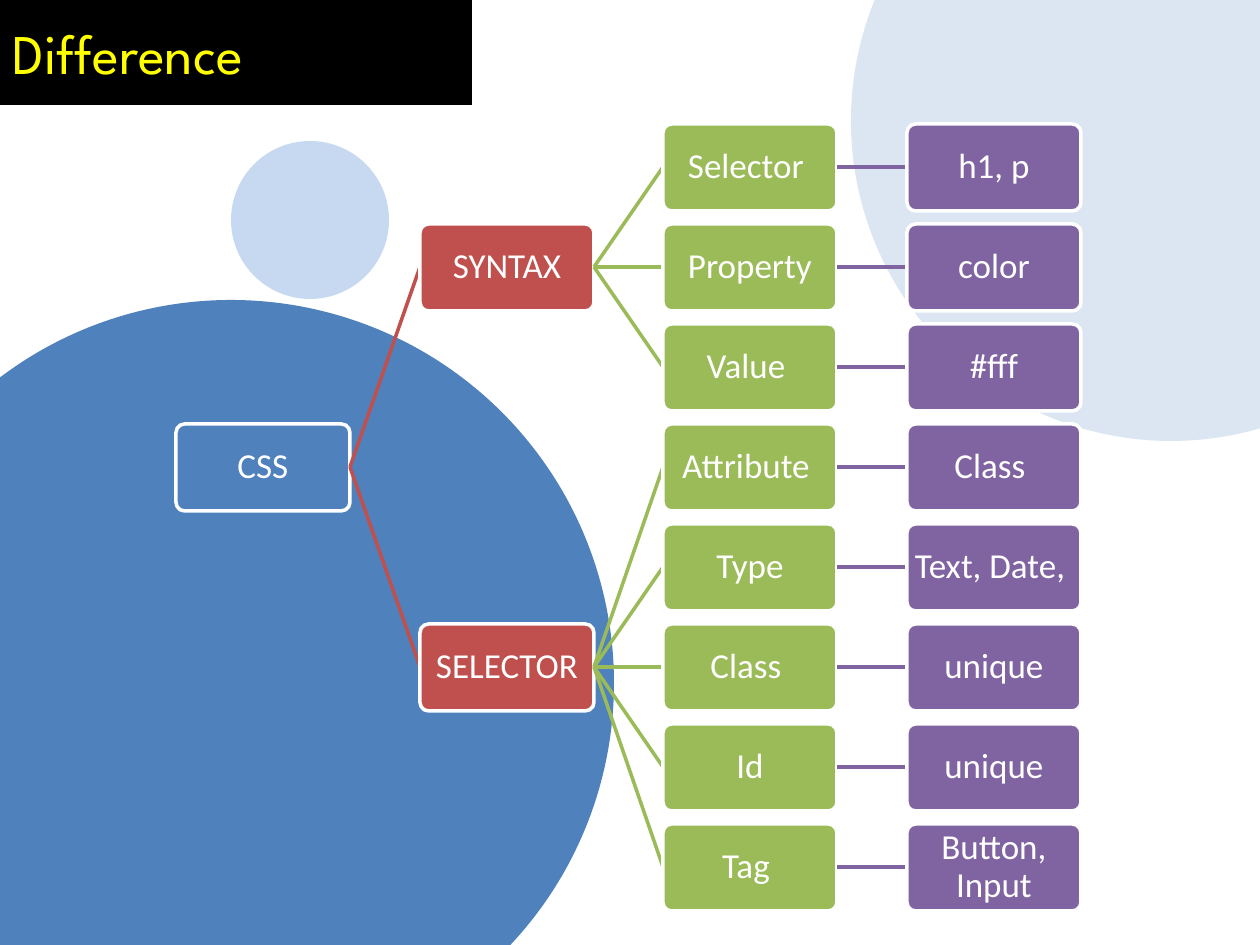
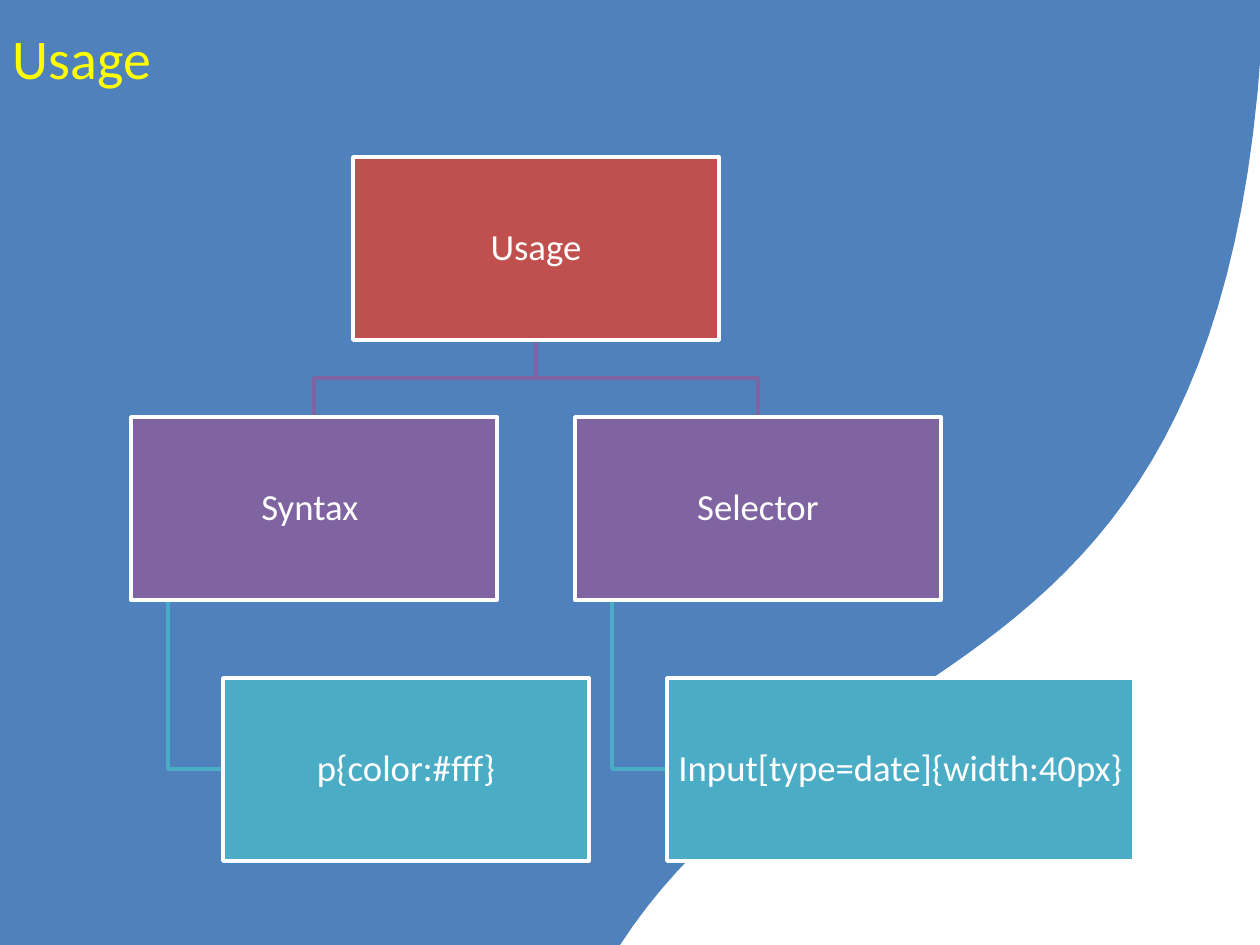
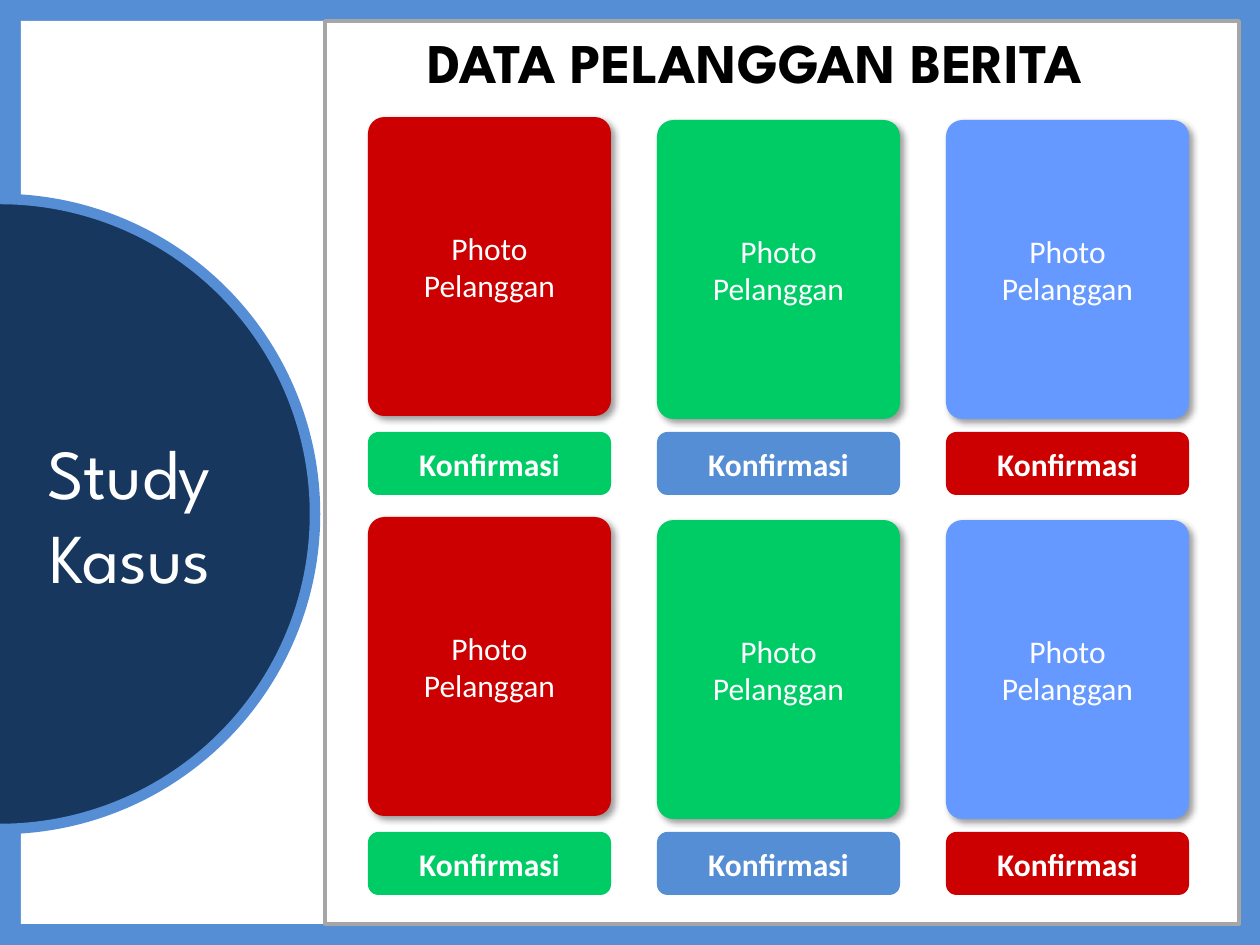
from lxml import etree
from pptx import Presentation
from pptx.dml.color import RGBColor
from pptx.enum.shapes import MSO_CONNECTOR, MSO_SHAPE
from pptx.enum.text import MSO_ANCHOR, MSO_AUTO_SIZE, PP_ALIGN
from pptx.oxml.ns import qn
from pptx.util import Emu, Pt

RECT, ROUNDED, ELLIPSE = MSO_SHAPE.RECTANGLE, MSO_SHAPE.ROUNDED_RECTANGLE, MSO_SHAPE.OVAL
STRAIGHT = MSO_CONNECTOR.STRAIGHT
TOP, MIDDLE = MSO_ANCHOR.TOP, MSO_ANCHOR.MIDDLE
LEFT, CENTER, RIGHT = PP_ALIGN.LEFT, PP_ALIGN.CENTER, PP_ALIGN.RIGHT

EMU_PER_PX = 914400 / 126
SLIDE_W, SLIDE_H = 1260, 945
BODY_FONT, DISPLAY_FONT = "Calibri", "League Spartan"

WHITE = RGBColor(0xFF, 0xFF, 0xFF)
BLACK = RGBColor(0x00, 0x00, 0x00)
YELLOW = RGBColor(0xFF, 0xFF, 0x00)
BLUE = RGBColor(0x4F, 0x81, 0xBD)
BRICK = RGBColor(0xC0, 0x50, 0x4D)
OLIVE = RGBColor(0x9B, 0xBB, 0x59)
PURPLE = RGBColor(0x80, 0x64, 0xA2)
AQUA = RGBColor(0x4B, 0xAC, 0xC6)
MIST = RGBColor(0xDC, 0xE6, 0xF2)
SKY = RGBColor(0xC6, 0xD9, 0xF1)
FRAME_BLUE = RGBColor(0x55, 0x8E, 0xD5)
NAVY = RGBColor(0x17, 0x37, 0x5E)
GRAY = RGBColor(0xA6, 0xA6, 0xA6)
RED = RGBColor(0xCC, 0x00, 0x00)
GREEN = RGBColor(0x00, 0xCC, 0x66)
PERIWINKLE = RGBColor(0x66, 0x99, 0xFF)

# Concept tree: (label, children)
CSS_TREE = ("CSS", [
    ("SYNTAX", [
        ("Selector ", [("h1, p", [])]),
        ("Property", [("color", [])]),
        ("Value ", [("#fff", [])]),
    ]),
    ("SELECTOR", [
        ("Attribute ", [("Class ", [])]),
        ("Type", [("Text, Date, ", [])]),
        ("Class ", [("unique", [])]),
        ("Id", [("unique", [])]),
        ("Tag ", [("Button, Input", [])]),
    ]),
])
LEVEL_COLORS = (BLUE, BRICK, OLIVE, PURPLE)
LEVEL_LEFTS = (176, 420, 663, 907)
NODE_W, NODE_H = 174, 87
FIRST_ROW, ROW_PITCH = 167, 100

# Usage chart: (left, label, example, example width)
BRANCHES = (
    (131, "Syntax ", "p{color:#fff}", 366),
    (575, "Selector", "Input[type=date]{width:40px}", 467),
)
USAGE_W, USAGE_H = 366, 183
USAGE_LEFT, USAGE_TOP, BRANCH_TOP, EXAMPLE_TOP = 353, 157, 417, 678

# Customer cards: (left, top offset, photo colour, button colour)
CARDS = (
    (368, 0, RED, GREEN),
    (657, 3, GREEN, FRAME_BLUE),
    (946, 3, PERIWINKLE, RED),
)
CARD_ROWS, CARD_PITCH = 2, 400


def px(*lengths):
    return [Emu(round(length * EMU_PER_PX)) for length in lengths]


def set_text(shape, text, size, font=BODY_FONT, color=WHITE, align=CENTER,
             anchor=MIDDLE, bold=False, spacing=None):
    frame = shape.text_frame
    frame.text = text
    frame.word_wrap = True
    frame.vertical_anchor = anchor
    for paragraph in frame.paragraphs:
        paragraph.alignment = align
        paragraph.line_spacing = spacing
        paragraph.font.name = font
        paragraph.font.size = Pt(size)
        paragraph.font.color.rgb = color
        paragraph.font.bold = bold


def paint(shape, fill=None, line=None, weight=2):
    shape.shadow.inherit = False
    if fill is None:
        shape.fill.background()
    else:
        shape.fill.solid()
        shape.fill.fore_color.rgb = fill
    if line is None:
        shape.line.fill.background()
    else:
        shape.line.color.rgb = line
        shape.line.width = Pt(weight)


def add_block(slide, preset, bounds, fill=None, line=None, weight=2):
    block = slide.shapes.add_shape(preset, *px(*bounds))
    paint(block, fill, line, weight)
    return block


def add_node(slide, preset, bounds, fill, label, size):
    """White-edged diagram box with tight margins."""
    node = add_block(slide, preset, bounds, fill, WHITE)
    if preset == ROUNDED:
        node.adjustments[0] = 0.1
    set_text(node, label, size, spacing=0.9)
    frame = node.text_frame
    frame.margin_left, frame.margin_top, frame.margin_right, frame.margin_bottom = px(3, 3, 3, 3)


def add_link(slide, start, end, color):
    link = slide.shapes.add_connector(STRAIGHT, *px(*start, *end))
    link.line.color.rgb = color
    link.line.width = Pt(2)
    etree.SubElement(link.element.spPr, qn("a:effectLst"))


def add_outline(slide, points, closed, fill=None, line=None):
    corners = [px(*point) for point in points]
    builder = slide.shapes.build_freeform(*corners[0])
    builder.add_line_segments(corners[1:], close=closed)
    paint(builder.convert_to_shape(), fill, line)


def add_drop_shadow(shape):
    effects = shape.element.spPr.find(qn("a:effectLst"))
    shadow = etree.SubElement(effects, qn("a:outerShdw"), blurRad="50800", dist="38100",
                              dir="2700000", algn="tl", rotWithShape="0")
    shade = etree.SubElement(shadow, qn("a:prstClr"), val="black")
    etree.SubElement(shade, qn("a:alpha"), val="40000")


def add_title(slide, text, bounds, **style):
    """Place the title above everything drawn so far."""
    title = slide.shapes.title
    title.left, title.top, title.width, title.height = px(*bounds)
    set_text(title, text, 32, **style)
    title.text_frame.auto_size = MSO_AUTO_SIZE.NONE
    title.element.getparent().append(title.element)
    return title


def bezier(start, control1, control2, end, steps=48):
    points = []
    for step in range(steps + 1):
        t = step / steps
        weights = ((1 - t) ** 3, 3 * t * (1 - t) ** 2, 3 * t * t * (1 - t), t ** 3)
        points.append(tuple(sum(w * value for w, value in zip(weights, axis))
                            for axis in zip(start, control1, control2, end)))
    return points


def tree_rows(node, next_row=0):
    """Return the row of a node, centred on its children, and the next free row."""
    children = node[1]
    if not children:
        return next_row, next_row + 1
    rows = []
    for child in children:
        row, next_row = tree_rows(child, next_row)
        rows.append(row)
    return (rows[0] + rows[-1]) // 2, next_row


def add_tree(slide, node, level=0, next_row=0, parent_end=None):
    label, children = node
    row, following_row = tree_rows(node, next_row)
    left, middle = LEVEL_LEFTS[level], FIRST_ROW + row * ROW_PITCH
    color = LEVEL_COLORS[level]
    if parent_end:
        add_link(slide, parent_end, (left, middle), color)
    add_node(slide, ROUNDED, (left, middle - NODE_H // 2, NODE_W, NODE_H), color, label, 20)
    for child in children:
        next_row = add_tree(slide, child, level + 1, next_row, (left + NODE_W, middle))
    return following_row


def build_difference(slide):
    # Background circles: left, top, diameter
    for left, top, size, color in ((-152, 300, 766, BLUE), (851, -199, 640, MIST),
                                   (231, 141, 158, SKY)):
        add_block(slide, ELLIPSE, (left, top, size, size), color)
    add_tree(slide, CSS_TREE)
    title = add_title(slide, "Difference", (0, 0, 472, 105), font=DISPLAY_FONT,
                      color=YELLOW, align=LEFT)
    title.fill.solid()
    title.fill.fore_color.rgb = BLACK


def build_usage(slide):
    # Curved background
    edge = bezier((1265, -40), (1249, 725), (834, 616), (620, SLIDE_H))
    add_outline(slide, [(0, -42), *edge, (0, SLIDE_H)], True, fill=BLUE)
    add_title(slide, "Usage", (0, 5, 220, 105), color=YELLOW, align=LEFT)

    # Connecting lines
    root_x, root_bottom = USAGE_LEFT + USAGE_W // 2, USAGE_TOP + USAGE_H
    fork_y = (root_bottom + BRANCH_TOP) // 2
    example_y = EXAMPLE_TOP + USAGE_H // 2
    for left, *_ in BRANCHES:
        branch_x, stem_x = left + USAGE_W // 2, left + 37
        add_outline(slide, [(stem_x, BRANCH_TOP + USAGE_H), (stem_x, example_y),
                            (left + 92, example_y)], False, line=AQUA)
        add_outline(slide, [(root_x, root_bottom), (root_x, fork_y), (branch_x, fork_y),
                            (branch_x, BRANCH_TOP)], False, line=PURPLE)

    # Boxes
    add_node(slide, RECT, (USAGE_LEFT, USAGE_TOP, USAGE_W, USAGE_H), BRICK, "Usage", 21)
    for left, label, example, example_w in BRANCHES:
        add_node(slide, RECT, (left, BRANCH_TOP, USAGE_W, USAGE_H), PURPLE, label, 21)
        add_node(slide, RECT, (left + 92, EXAMPLE_TOP, example_w, USAGE_H), AQUA, example, 21)


def build_case_study(slide):
    # Frame and section circle
    add_block(slide, RECT, (0, 0, SLIDE_W, SLIDE_H), FRAME_BLUE)
    add_block(slide, RECT, (21, 21, 1217, 903), WHITE)
    section = add_block(slide, ELLIPSE, (-315, 199, 630, 630), NAVY, FRAME_BLUE, 6)
    set_text(section, "Study\nKasus", 40, font=DISPLAY_FONT, align=RIGHT)

    # Customer panel
    add_title(slide, "DATA PELANGGAN BERITA", (344, 21, 822, 81), font=DISPLAY_FONT,
              color=BLACK, anchor=TOP, bold=True)
    add_block(slide, RECT, (325, 21, 914, 903), line=GRAY)
    for row in range(CARD_ROWS):
        row_top = row * CARD_PITCH
        for left, offset, photo_color, button_color in CARDS:
            photo = add_block(slide, ROUNDED, (left, 117 + offset + row_top, 243, 299), photo_color)
            photo.adjustments[0] = 0.067
            add_drop_shadow(photo)
            set_text(photo, "Photo Pelanggan", 18)
            button = add_block(slide, ROUNDED, (left, 432 + row_top, 243, 63), button_color)
            set_text(button, "Konfirmasi", 18, bold=True)


def main():
    deck = Presentation()
    deck.slide_width, deck.slide_height = px(SLIDE_W, SLIDE_H)
    title_only = deck.slide_layouts.get_by_name("Title Only")
    for build in (build_difference, build_usage, build_case_study):
        build(deck.slides.add_slide(title_only))
    deck.save("out.pptx")


if __name__ == "__main__":
    main()
